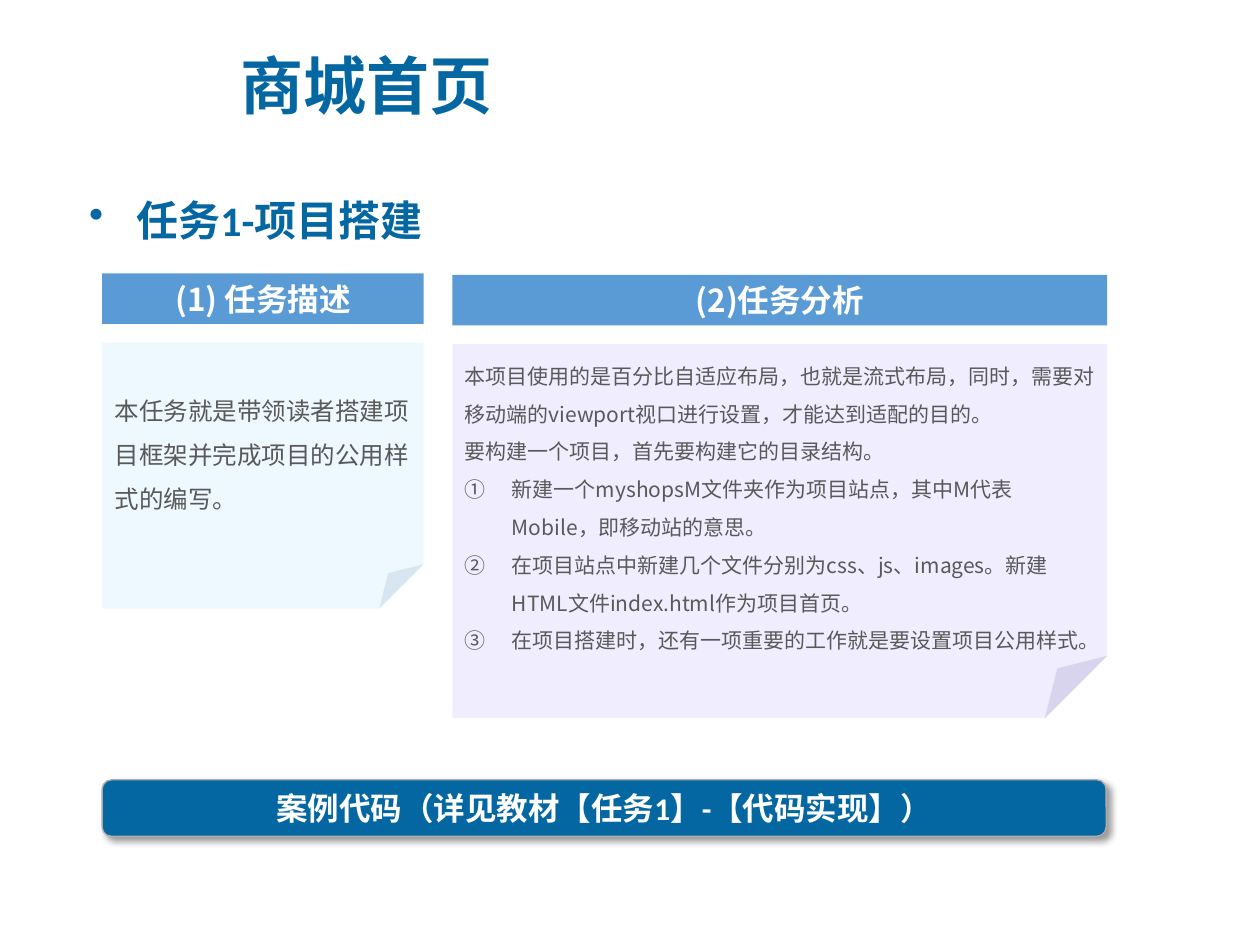
from lxml import etree
from pptx import Presentation
from pptx.dml.color import RGBColor
from pptx.enum.shapes import MSO_SHAPE
from pptx.enum.text import MSO_ANCHOR, PP_ALIGN
from pptx.oxml.ns import qn
from pptx.util import Cm, Pt

RECTANGLE = MSO_SHAPE.RECTANGLE
FOLDED_CORNER = MSO_SHAPE.FOLDED_CORNER
ROUNDED_RECTANGLE = MSO_SHAPE.ROUNDED_RECTANGLE
TOP, MIDDLE = MSO_ANCHOR.TOP, MSO_ANCHOR.MIDDLE
LEFT, CENTER = PP_ALIGN.LEFT, PP_ALIGN.CENTER

SANS, LATIN = "Noto Sans CJK SC", "Calibri"
DARK_BLUE, HEADER_BLUE, WHITE, GREY = "0567A2", "5B9BD5", "FFFFFF", "595959"


def write(paragraph, text, size, color, font_name=SANS, bold=False,
          alignment=LEFT, line_spacing=1.0, bullet=None):
    """Fill a paragraph; bullet is an optional (tag, attribute, value)."""
    paragraph.text = text
    paragraph.alignment = alignment
    paragraph.line_spacing = line_spacing
    if bullet:
        tag, attribute, value = bullet
        properties = paragraph._p.get_or_add_pPr()
        properties.set("marL", str(Cm(0.95)))
        properties.set("indent", str(Cm(-0.95)))
        etree.SubElement(properties, qn(tag)).set(attribute, value)
    font = paragraph.font
    font.name, font.size, font.bold = font_name, Pt(size), bold
    font.color.rgb = RGBColor.from_string(color)
    east_asian = etree.SubElement(paragraph._p.pPr.find(qn("a:defRPr")), qn("a:ea"))
    east_asian.set("typeface", SANS)


def add_panel(kind, left, top, width, height, fill, opacity=100, anchor=MIDDLE):
    shape = slide.shapes.add_shape(kind, Cm(left), Cm(top), Cm(width), Cm(height))
    shape.shadow.inherit = False
    shape.fill.solid()
    shape.fill.fore_color.rgb = RGBColor.from_string(fill)
    if opacity < 100:
        color = shape.fill._xPr.find(qn("a:solidFill"))[0]
        etree.SubElement(color, qn("a:alpha")).set("val", str(opacity * 1000))
    shape.line.fill.background()
    shape.text_frame.word_wrap = True
    shape.text_frame.vertical_anchor = anchor
    return shape


presentation = Presentation()
presentation.slide_width, presentation.slide_height = Cm(25.4), Cm(19.05)
slide = presentation.slides.add_slide(presentation.slide_layouts[5])

# Title and task heading
title = slide.shapes.title
title.left, title.top, title.width, title.height = Cm(4.6), Cm(0.69), Cm(20.78), Cm(2.01)
title.text_frame.vertical_anchor = MIDDLE
write(title.text_frame.paragraphs[0], "商城首页", 36, DARK_BLUE, bold=True)

heading = slide.shapes.add_textbox(Cm(1.55), Cm(3.28), Cm(8.13), Cm(1.8))
heading.text_frame.word_wrap = True
heading_paragraph = heading.text_frame.paragraphs[0]
heading_paragraph.space_before = Pt(5)
write(heading_paragraph, "任务1-项目搭建", 24, DARK_BLUE, LATIN, True,
      line_spacing=1.5, bullet=("a:buChar", "char", "•"))

# Two columns: a header above a folded note
numbered = ("a:buAutoNum", "type", "circleNumDbPlain")
columns = [
    (2.06, 5.51, 6.48, 5.36, "(1) 任务描述", "C5E8FF", 28, 14, 0.77, [
        ("本任务就是带领读者搭建项目框架并完成项目的公用样式的编写。", None),
    ]),
    (9.12, 5.54, 13.2, 7.54, "(2)任务分析", "D1C7FD", 31, 12, 0.13, [
        ("本项目使用的是百分比自适应布局，也就是流式布局，同时，需要"
         "对移动端的viewport视口进行设置，才能达到适配的目的。", None),
        ("要构建一个项目，首先要构建它的目录结构。", None),
        ("新建一个myshopsM文件夹作为项目站点，其中M代表Mobile，即移动站的意思。", numbered),
        ("在项目站点中新建几个文件分别为css、js、images。"
         "新建HTML文件index.html作为项目首页。", numbered),
        ("在项目搭建时，还有一项重要的工作就是要设置项目公用样式。", numbered),
    ]),
]
for left, top, width, note_height, label, fill, opacity, size, inset, lines in columns:
    header = add_panel(RECTANGLE, left, top, width, 1.02, HEADER_BLUE)
    write(header.text_frame.paragraphs[0], label, 18, WHITE, bold=True, alignment=CENTER)

    note = add_panel(FOLDED_CORNER, left, top + 1.4, width, note_height, fill, opacity, TOP)
    note.text_frame.margin_top = Cm(inset)
    for index, (text, bullet) in enumerate(lines):
        if index:
            paragraph = note.text_frame.add_paragraph()
        else:
            paragraph = note.text_frame.paragraphs[0]
        write(paragraph, text, size, GREY, line_spacing=1.5, bullet=bullet)

# Banner with a soft shadow
banner = add_panel(ROUNDED_RECTANGLE, 2.06, 15.72, 20.24, 1.14, DARK_BLUE)
banner.line.color.rgb = RGBColor.from_string("AFABAB")
banner.line.width = Pt(0.75)
write(banner.text_frame.paragraphs[0], "案例代码（详见教材【任务1】-【代码实现】）",
      18, WHITE, LATIN, True, CENTER)
effects = banner._element.spPr.find(qn("a:effectLst"))
shadow = etree.SubElement(effects, qn("a:outerShdw"), blurRad=str(Pt(4)), dist=str(Pt(3)),
                          dir=str(45 * 60000), algn="tl", rotWithShape="0")
shadow_color = etree.SubElement(shadow, qn("a:srgbClr"), val="000000")
etree.SubElement(shadow_color, qn("a:alpha"), val="40000")

presentation.save("out.pptx")
